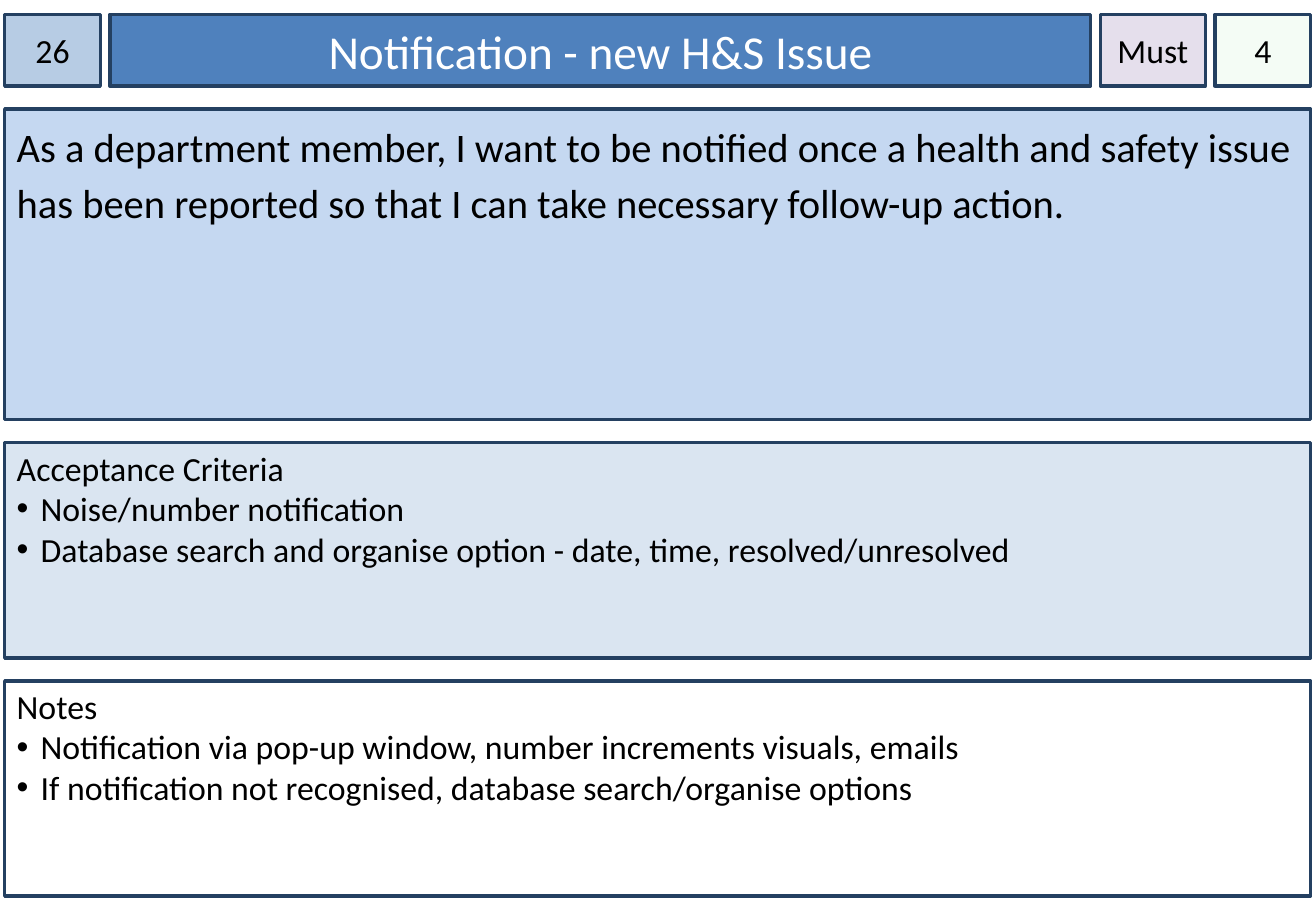
from dataclasses import dataclass

from lxml.etree import SubElement
from pptx import Presentation
from pptx.dml.color import RGBColor
from pptx.enum.shapes import MSO_SHAPE
from pptx.enum.text import MSO_ANCHOR, PP_ALIGN
from pptx.oxml.ns import qn
from pptx.util import Cm, Pt


@dataclass(frozen=True)
class Theme:
    font: str = "Calibri"
    ink: str = "000000"
    white: str = "FFFFFF"
    border: str = "244061"
    number: str = "B7CCE4"
    title: str = "4F81BD"
    priority: str = "E5DFEC"
    estimate: str = "CCF0CD"
    story: str = "C5D8F1"
    criteria: str = "DAE5F1"
    body_size: int = 20
    story_size: int = 24
    title_size: int = 28


THEME = Theme()

# Layout in centimetres
LEFT, TOP = 0.1, 0.3
HEADER_HEIGHT, HEADER_GAP = 1.5, 0.2
PANEL_WIDTH, PANEL_GAP = 27.3, 0.48
BULLET_INDENT = Cm(0.5)


def set_all(target, values):
    for name, value in values.items():
        setattr(target, name, value)


def add_box(slide, left, top, width, height, fill, alpha=None):
    sp = slide.shapes.add_shape(
        MSO_SHAPE.RECTANGLE, Cm(left), Cm(top), Cm(width), Cm(height))
    sp.shadow.inherit = False
    sp.fill.solid()
    sp.fill.fore_color.rgb = RGBColor.from_string(fill)
    if alpha is not None:
        color = sp.fill._xPr.find(qn("a:solidFill"))[0]
        SubElement(color, qn("a:alpha"), val=str(alpha * 1000))
    sp.line.color.rgb = RGBColor.from_string(THEME.border)
    sp.line.width = Pt(2)
    return sp


def write(p, text, size, color=THEME.ink, **formats):
    set_all(p, formats)
    r = p.add_run()
    r.text = text
    set_all(r.font, {"name": THEME.font, "size": Pt(size)})
    r.font.color.rgb = RGBColor.from_string(color)


def add_bullet(p):
    pPr = p._p.get_or_add_pPr()
    pPr.set("marL", str(BULLET_INDENT))
    pPr.set("indent", str(-BULLET_INDENT))
    bullet_color = SubElement(pPr, qn("a:buClr"))
    SubElement(bullet_color, qn("a:srgbClr"), val=THEME.ink)
    SubElement(pPr, qn("a:buFont"), typeface="Arial")
    SubElement(pPr, qn("a:buChar"), char="•")


def add_header(slide, left, width, text, fill, size=THEME.body_size,
               color=THEME.ink, side=0, alpha=None):
    tf = add_box(slide, left, TOP, width, HEADER_HEIGHT, fill, alpha).text_frame
    set_all(tf, {"margin_left": Cm(side), "margin_right": Cm(side),
                 "vertical_anchor": MSO_ANCHOR.MIDDLE, "word_wrap": True})
    write(tf.paragraphs[0], text, size, color, alignment=PP_ALIGN.CENTER)


def add_panel(slide, top, height, fill, heading, bullets=(),
              size=THEME.body_size, inset=0.1, spacing=1.0):
    tf = add_box(slide, LEFT, top, PANEL_WIDTH, height, fill).text_frame
    set_all(tf, {"margin_top": Cm(inset), "vertical_anchor": MSO_ANCHOR.TOP,
                 "word_wrap": True})
    write(tf.paragraphs[0], heading, size,
          alignment=PP_ALIGN.LEFT, line_spacing=spacing)
    for text in bullets:
        p = tf.add_paragraph()
        p.alignment = PP_ALIGN.LEFT
        add_bullet(p)
        write(p, text, size)


def main():
    prs = Presentation()
    set_all(prs, {"slide_width": Cm(27.51), "slide_height": Cm(19.05)})
    s = prs.slides.add_slide(prs.slide_layouts[6])

    # Header row: number, title, priority, estimate
    headers = [
        (2.0, "26", THEME.number, {}),
        (20.5, "Notification - new H&S Issue", THEME.title,
         {"size": THEME.title_size, "color": THEME.white, "side": 0.25}),
        (2.2, "Must", THEME.priority, {}),
        (2.0, "4", THEME.estimate, {"alpha": 20}),
    ]
    left = LEFT
    for width, text, fill, options in headers:
        add_header(s, left, width, text, fill, **options)
        left += width + HEADER_GAP

    # Panels: user story, acceptance criteria, notes
    panels = [
        (6.5, THEME.story,
         "As a department member, I want to be notified once a health and "
         "safety issue has been reported so that I can take necessary "
         "follow-up action.", (),
         {"size": THEME.story_size, "inset": 0.13, "spacing": 1.15}),
        (4.5, THEME.criteria, "Acceptance Criteria",
         ("Noise/number notification",
          "Database search and organise option - date, time, "
          "resolved/unresolved"), {}),
        (4.5, THEME.white, "Notes",
         ("Notification via pop-up window, number increments visuals, emails",
          "If notification not recognised, database search/organise options"),
         {}),
    ]
    top = TOP + HEADER_HEIGHT + PANEL_GAP
    for height, fill, heading, bullets, options in panels:
        add_panel(s, top, height, fill, heading, bullets, **options)
        top += height + PANEL_GAP

    prs.save("out.pptx")


if __name__ == "__main__":
    main()
